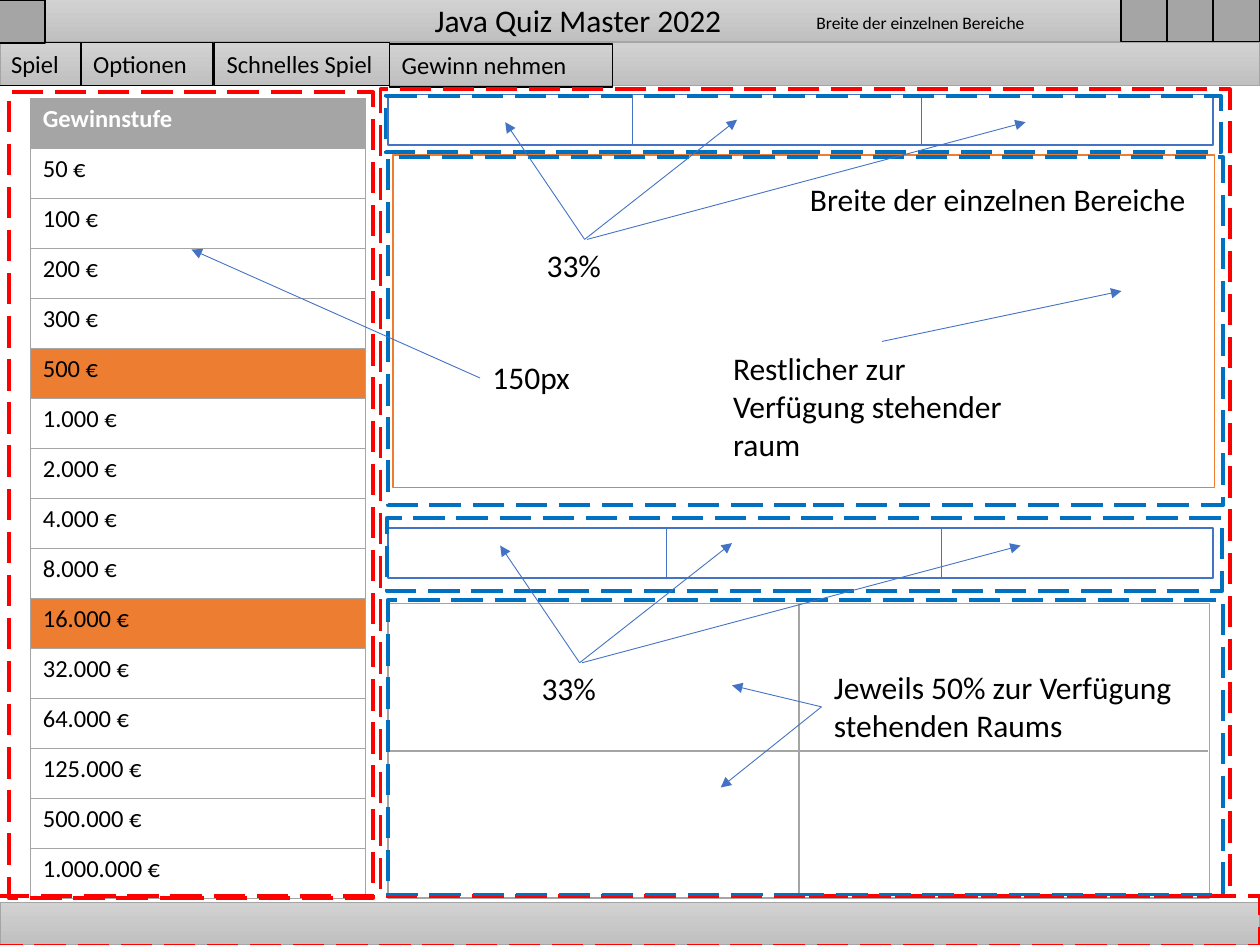
from lxml import etree
from pptx import Presentation
from pptx.dml.color import RGBColor
from pptx.enum.dml import MSO_LINE
from pptx.enum.shapes import MSO_CONNECTOR, MSO_SHAPE
from pptx.enum.text import MSO_ANCHOR, MSO_AUTO_SIZE, PP_ALIGN
from pptx.oxml.ns import qn
from pptx.util import Inches, Pt

RECT = MSO_SHAPE.RECTANGLE
STRAIGHT = MSO_CONNECTOR.STRAIGHT
DASH = MSO_LINE.LONG_DASH
GROW = MSO_AUTO_SIZE.SHAPE_TO_FIT_TEXT
LEFT, CENTER = PP_ALIGN.LEFT, PP_ALIGN.CENTER
TOP, BOTTOM = MSO_ANCHOR.TOP, MSO_ANCHOR.BOTTOM

BLACK = RGBColor(0, 0, 0)
WHITE = RGBColor(255, 255, 255)
GRAY = RGBColor(0xA5, 0xA5, 0xA5)
LIGHT = RGBColor(0xD2, 0xD2, 0xD2)
SHADE = RGBColor(0xC0, 0xC0, 0xC0)
ORANGE = RGBColor(0xED, 0x7D, 0x31)
BLUE = RGBColor(0x44, 0x72, 0xC4)
AZURE = RGBColor(0x00, 0x70, 0xC0)
RED = RGBColor(255, 0, 0)

FONT = {"name": "Calibri", "size": Pt(18), "bold": False}
BAR = 0.34
PRIZES = ["50", "100", "200", "300", "500", "1.000", "2.000", "4.000",
          "8.000", "16.000", "32.000", "64.000", "125.000", "500.000",
          "1.000.000"]
SAFE = ("500", "16.000")


def set_all(item, values):
    for key, value in values.items():
        setattr(item, key, value)


def write(frame, text, color=BLACK, **font):
    para = frame.paragraphs[0]
    para.alignment = LEFT
    run = para.add_run()
    run.text = text
    set_all(run.font, {**FONT, **font})
    run.font.color.rgb = color


def add_box(slide, area, line, width=1, fill=None, dash=None):
    box = slide.shapes.add_shape(RECT, *map(Inches, area))
    box.shadow.inherit = False
    if fill is None:
        box.fill.background()
    else:
        box.fill.solid()
        box.fill.fore_color.rgb = fill
    box.line.color.rgb = line
    set_all(box.line, {"width": Pt(width), "dash_style": dash})
    return box


def add_bar(slide, top):
    bar = add_box(slide, (0, top, 10, BAR), GRAY, 0.5)
    bar.fill.gradient()
    bar.fill.gradient_angle = 270
    for stop, color in zip(bar.fill.gradient_stops, (LIGHT, SHADE)):
        stop.color.rgb = color


def add_label(slide, area, text, wrap=True):
    label = slide.shapes.add_textbox(*map(Inches, area))
    set_all(label.text_frame, {"word_wrap": wrap, "auto_size": GROW})
    write(label.text_frame, text)


def add_tab(slide, area, text):
    tab = add_box(slide, area, BLACK, 0.75)
    set_all(tab.text_frame, {"word_wrap": True, "auto_size": GROW,
                             "vertical_anchor": TOP})
    write(tab.text_frame, text, size=Pt(14))


def add_line(slide, start, end, color=BLUE, width=0.5, arrow=False):
    line = slide.shapes.add_connector(STRAIGHT, *map(Inches, start + end))
    line.line.color.rgb = color
    line.line.width = Pt(width)
    if arrow:
        tail = etree.SubElement(line.line._get_or_add_ln(), qn("a:tailEnd"))
        tail.set("type", "triangle")
    etree.SubElement(line._element.spPr, qn("a:effectLst"))


def add_arrows(slide, start, ends):
    for end in ends:
        add_line(slide, start, end, arrow=True)


def add_strip(slide, top, cuts):
    add_box(slide, (3.08, top, 6.55, 0.4), BLUE, fill=WHITE)
    for left in cuts:
        add_line(slide, (left, top), (left, top + 0.4))


def add_border(cell):
    props = cell._tc.get_or_add_tcPr()
    for spot, side in enumerate(("a:lnL", "a:lnR", "a:lnT", "a:lnB")):
        edge = etree.Element(qn(side), w=str(Pt(0.5)))
        fill = etree.SubElement(edge, qn("a:solidFill"))
        etree.SubElement(fill, qn("a:srgbClr"), val=str(GRAY))
        props.insert(spot, edge)


def add_prizes(slide):
    rows = [("Gewinnstufe", GRAY)]
    rows += [(f"{sum_} €", ORANGE if sum_ in SAFE else WHITE)
             for sum_ in PRIZES]
    area = (0.24, 0.78, 2.66, 6.35)
    table = slide.shapes.add_table(len(rows), 1, *map(Inches, area)).table
    for index, (text, fill) in enumerate(rows):
        cell = table.cell(index, 0)
        cell.fill.solid()
        cell.fill.fore_color.rgb = fill
        add_border(cell)
        head = index == 0
        write(cell.text_frame, text, WHITE if head else BLACK,
              size=Pt(14), bold=head)


def add_title(slide):
    area = (6.17, 0.03, 2.27, 0.28)
    frame = slide.shapes.add_textbox(*map(Inches, area)).text_frame
    set_all(frame, {"word_wrap": True, "vertical_anchor": BOTTOM})
    write(frame, "Breite der einzelnen Bereiche", size=Pt(10))
    set_all(frame.paragraphs[0], {"alignment": CENTER, "line_spacing": 0.9})


def main():
    deck = Presentation()
    deck.slide_width, deck.slide_height = Inches(10), Inches(7.5)
    slide = deck.slides.add_slide(deck.slide_layouts[6])

    # Window bars and buttons
    for top in (-0.01, 7.16, BAR):
        add_bar(slide, top)
    for left, top, width in ((8.9, -0.01, 1.1), (9.26, -0.01, 0.37),
                             (-0.01, 0, 0.37)):
        add_box(slide, (left, top, width, BAR), BLACK, fill=GRAY)
    add_label(slide, (3.35, -0.04, 3.29, 0.4), "Java Quiz Master 2022")
    add_title(slide)

    # Prize table
    add_prizes(slide)

    # Answer grid, question field and strips
    add_box(slide, (3.08, 4.79, 6.52, 2.34), GRAY, fill=WHITE)
    add_line(slide, (3.08, 5.96), (9.59, 5.96), GRAY, 1)
    add_line(slide, (6.34, 4.79), (6.34, 7.13), GRAY, 1)
    add_box(slide, (3.12, 1.23, 6.52, 2.64), ORANGE, fill=WHITE)
    add_strip(slide, 4.19, (5.29, 7.47))
    add_strip(slide, 0.75, (5.02, 7.31))

    # Menu
    for left, top, width, text in ((-0.01, 0.34, 0.66, "Spiel"),
                                   (0.64, 0.34, 1.05, "Optionen"),
                                   (1.7, 0.34, 1.39, "Schnelles Spiel"),
                                   (3.09, 0.35, 1.77, "Gewinn nehmen")):
        add_tab(slide, (left, top, width, BAR), text)

    # Dashed layout areas
    zones = {RED: ((0.07, 0.73, 2.89, 6.4), (3.02, 0.71, 6.74, 6.4),
                   (-0.06, 7.11, 10.06, 0.4)),
             AZURE: ((3.06, 0.76, 6.63, 0.45), (3.08, 1.25, 6.63, 2.76),
                     (3.08, 4.76, 6.63, 2.34), (3.07, 4.11, 6.63, 0.58))}
    for color, areas in zones.items():
        for area in areas:
            add_box(slide, area, color, 2.25, dash=DASH)

    # Size notes and their arrows
    add_label(slide, (3.81, 2.79, 1.01, 0.4), "150px")
    add_label(slide, (5.72, 2.72, 2.64, 1.01),
              "Restlicher zur Verfügung stehender raum")
    add_label(slide, (6.33, 1.38, 3.22, 0.4),
              "Breite der einzelnen Bereiche", wrap=False)
    add_label(slide, (6.52, 5.25, 3.02, 0.71),
              "Jeweils 50% zur Verfügung stehenden Raums")
    add_arrows(slide, (3.81, 3), [(1.52, 1.98)])
    add_arrows(slide, (7, 2.71), [(8.9, 2.31)])
    add_arrows(slide, (6.52, 5.61), [(5.81, 5.44), (5.72, 6.25)])
    for left, top in ((4.24, 1.9), (4.2, 5.26)):
        add_label(slide, (left, top, 0.8, 0.4), "33%")
        add_arrows(slide, (left + 0.4, top),
                   [(left - 0.23, top - 0.93), (left + 1.61, top - 0.95)])
        add_arrows(slide, (left + 0.42, top), [(left + 3.9, top - 0.93)])

    deck.save("out.pptx")


if __name__ == "__main__":
    main()
